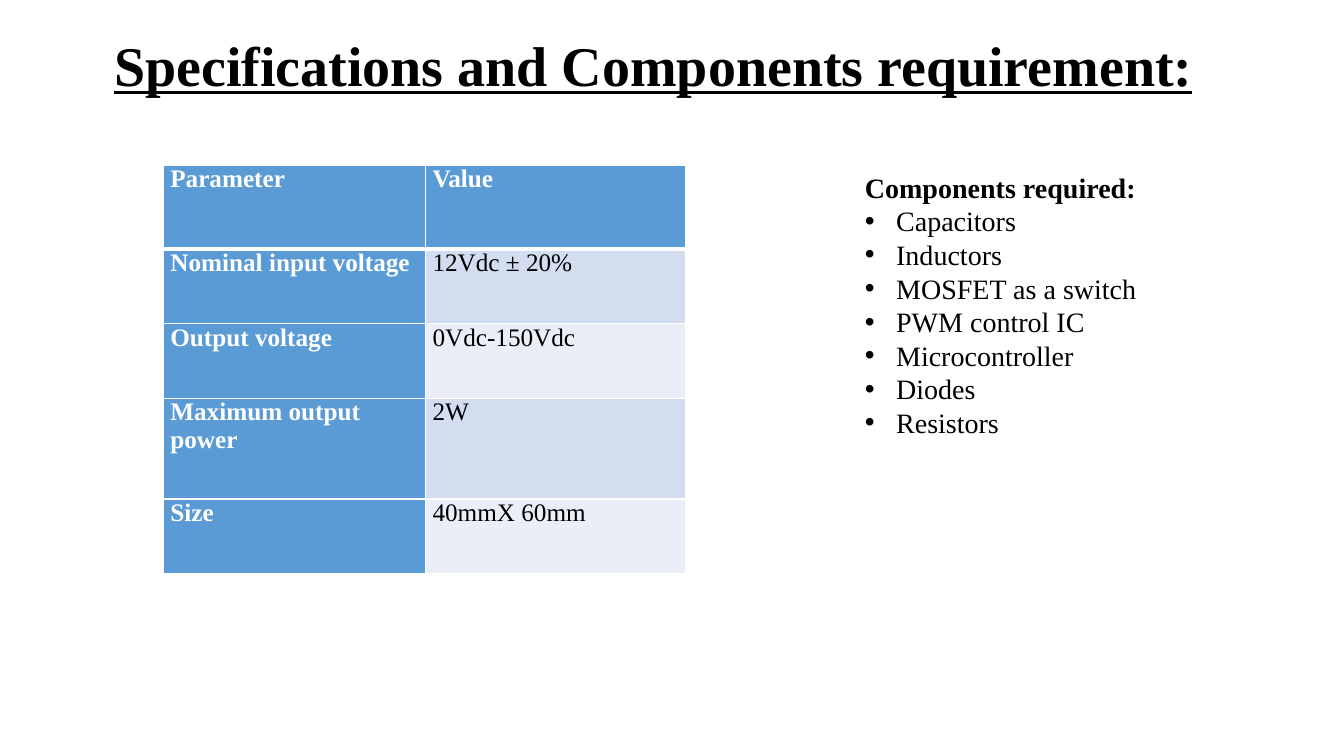
from dataclasses import dataclass
from lxml.etree import SubElement
from pptx import Presentation
from pptx.dml.color import RGBColor
from pptx.enum.text import PP_ALIGN
from pptx.oxml import parse_xml
from pptx.oxml.ns import nsdecls, qn
from pptx.util import Emu, Pt

SCALE = 9144  # EMU per px, 100 px to the inch


@dataclass(frozen=True)
class Theme:
    font: str = "Times New Roman"
    ink: str = "000000"
    white: str = "FFFFFF"
    blue: str = "5B9BD5"
    bands: tuple = ("D2DEEF", "EAEFF7")
    title: int = 40
    body: int = 20
    cell: int = 18


THEME = Theme()

SPECS = [
    ("Parameter", "Value"),
    ("Nominal input voltage", "12Vdc ± 20%"),
    ("Output voltage", "0Vdc-150Vdc"),
    ("Maximum output power", "2W"),
    ("Size", "40mmX 60mm"),
]
PARTS = ["Capacitors", "Inductors", "MOSFET as a switch", "PWM control IC",
         "Microcontroller", "Diodes", "Resistors"]


def px(n):
    return Emu(n * SCALE)


def style(para, size, color, bold=False, under=False):
    for run in para.runs:
        font = run.font
        font.name, font.size = THEME.font, Pt(size)
        font.bold, font.underline = bold, under
        font.color.rgb = RGBColor.from_string(color)


def add_text(slide, box, wrap):
    frame = slide.shapes.add_textbox(*map(px, box)).text_frame
    frame.word_wrap = wrap
    return frame


def add_title(slide, box):
    para = add_text(slide, box, False).paragraphs[0]
    para.text = "Specifications and Components requirement:"
    para.alignment = PP_ALIGN.CENTER
    style(para, THEME.title, THEME.ink, bold=True, under=True)


def set_edges(cell, base):
    # Cell borders come before the fill in the cell properties
    props = cell._tc.get_or_add_tcPr()
    for i, (side, width) in enumerate(zip("LRTB", (1, 1, 1, base))):
        props.insert(i, parse_xml(
            f'<a:ln{side} {nsdecls("a")} w="{Pt(width)}"><a:solidFill>'
            f'<a:srgbClr val="{THEME.white}"/></a:solidFill></a:ln{side}>'))


def fill_cell(cell, text, row, col):
    head = row == 0 or col == 0
    cell.margin_left = cell.margin_right = px(7)
    cell.margin_top = cell.margin_bottom = 0
    cell.fill.solid()
    shade = THEME.blue if head else THEME.bands[(row - 1) % 2]
    cell.fill.fore_color.rgb = RGBColor.from_string(shade)
    set_edges(cell, 3 if row == 0 else 1)
    para = cell.text_frame.paragraphs[0]
    para.text = text
    style(para, THEME.cell, THEME.white if head else THEME.ink, bold=head)


def add_specs(slide, box):
    frame = slide.shapes.add_table(len(SPECS), 2, *map(px, box))
    table = frame.table
    for col, width in zip(table.columns, (260, 258)):
        col.width = px(width)
    for row, height in zip(table.rows, (83, 74, 74, 100, 74)):
        row.height = px(height)
    for r, pair in enumerate(SPECS):
        for c, text in enumerate(pair):
            fill_cell(table.cell(r, c), text, r, c)


def add_bullet(para, indent):
    props = para._p.get_or_add_pPr()
    props.set("marL", str(px(indent)))
    props.set("indent", str(px(-indent)))
    SubElement(props, qn("a:buFont")).set("typeface", "Arial")
    SubElement(props, qn("a:buChar")).set("char", "•")


def add_parts(slide, box):
    frame = add_text(slide, box, True)
    frame.text = "\n".join(["Components required:"] + PARTS)
    head, *items = frame.paragraphs
    style(head, THEME.body, THEME.ink, bold=True)
    for item in items:
        add_bullet(item, 31)
        style(item, THEME.body, THEME.ink)


def main():
    deck = Presentation()
    deck.slide_width, deck.slide_height = px(1333), px(750)
    slide = deck.slides.add_slide(deck.slide_layouts[6])
    # Specifications on the left, components on the right
    add_specs(slide, (162, 164, 518, 405))
    add_title(slide, (97, 25, 1102, 77))
    add_parts(slide, (848, 164, 356, 313))
    deck.save("out.pptx")


if __name__ == "__main__":
    main()
